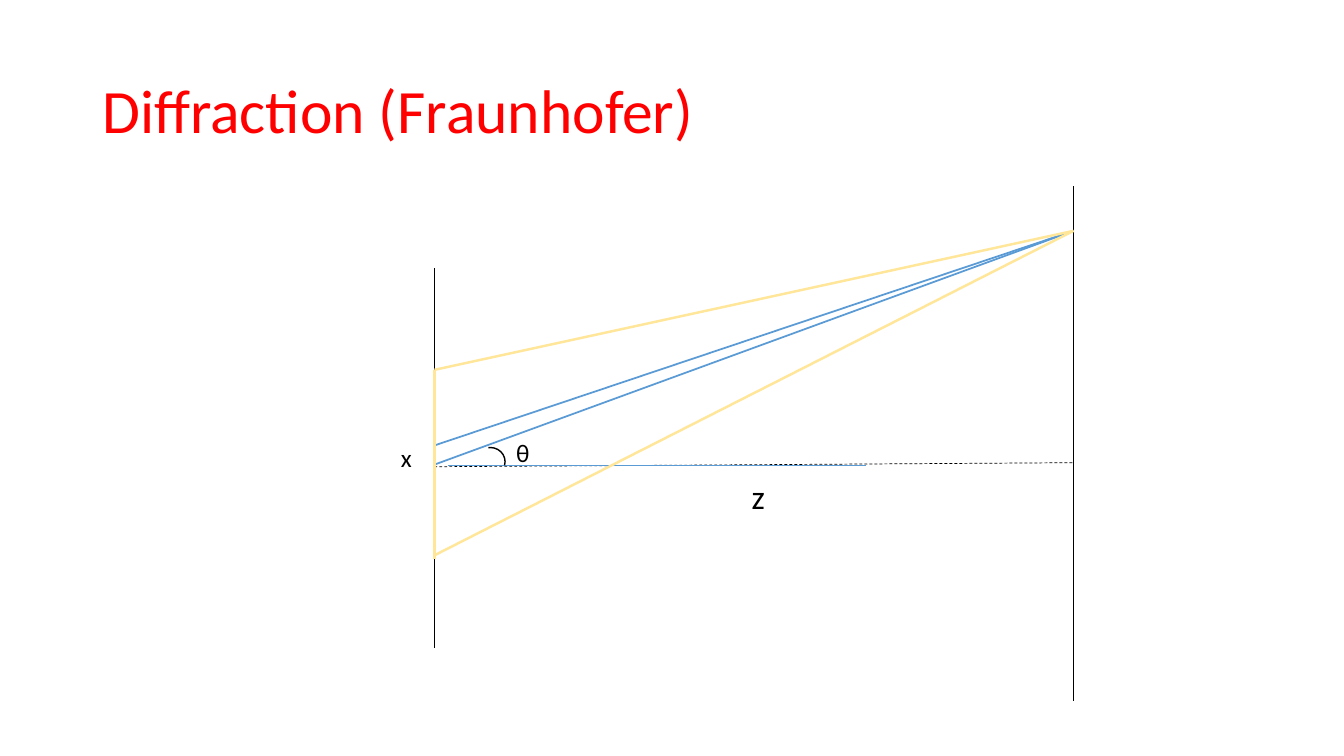
from lxml import etree
from pptx import Presentation
from pptx import util as u
from pptx.dml.color import RGBColor
from pptx.enum import dml, shapes, text
from pptx.oxml.ns import qn

BLACK = RGBColor(0x00, 0x00, 0x00)
RED = RGBColor(0xFF, 0x00, 0x00)
BLUE = RGBColor(0x5B, 0x9B, 0xD5)
YELLOW = RGBColor(0xFF, 0xE6, 0x99)
FONT = "Calibri"


def add_line(slide, start, end, colour, weight, dash=None):
    """Draw a straight line between two points, without a shadow."""
    line = slide.shapes.add_connector(
        shapes.MSO_CONNECTOR.STRAIGHT, *(u.Pt(v) for v in (*start, *end)))
    line.line.color.rgb = colour
    line.line.width = u.Pt(weight)
    if dash:
        line.line.dash_style = dash
    etree.SubElement(line._element.spPr, qn("a:effectLst"))


def add_label(slide, box, words, size, colour=BLACK):
    """Place one line of text in the box and return its text frame."""
    frame = slide.shapes.add_textbox(*(u.Pt(v) for v in box)).text_frame
    frame.word_wrap = True
    frame.text = words
    font = frame.paragraphs[0].runs[0].font
    font.name, font.size, font.color.rgb = FONT, u.Pt(size), colour
    return frame


def add_title(slide, box):
    """Write the slide heading, centred vertically in its box."""
    frame = add_label(slide, box, "Diffraction (Fraunhofer)", 44, RED)
    frame.vertical_anchor = text.MSO_ANCHOR.MIDDLE
    frame.paragraphs[0].line_spacing = 0.9


def add_diffraction(slide, box):
    """Draw the slit on the left edge, the screen on the right, and the rays."""
    left, top, width, height = box
    right = left + width
    slit_top, slit_bottom = top + 131, top + 266.4
    target = (right, top + 31.7)
    source = (left, top + 185)
    axis_start = (left, top + 200.2)

    add_line(slide, axis_start, (right, top + 197.3), BLACK, 0.5,
             dml.MSO_LINE.DASH)
    for start, end in (((left, slit_bottom), (left, top + 329.8)),
                       ((left, top + 58.3), (left, slit_top)),
                       ((right, top), (right, top + height))):
        add_line(slide, start, end, BLACK, 1.25)

    add_line(slide, axis_start, source, BLUE, 0.5)
    for start in (source, (left, top + 198.7)):
        add_line(slide, start, target, BLUE, 1.25)

    add_label(slide, (left + 219.6, top + 203, 88.6, 36), "z", 24)
    add_label(slide, (left - 31, top + 179.3, 62.6, 28.8), "x", 18)
    add_angle(slide, (left + 9.4, top + 175.7, 298.8, 31))

    for start, end in (((left, slit_top), target),
                       ((left, slit_top), (left, slit_bottom)),
                       (target, (left, top + 263.5))):
        add_line(slide, start, end, YELLOW, 1.75)


def add_angle(slide, box):
    """Mark the angle above the axis with an arc and its letter."""
    left, top, width, height = box
    add_label(slide, (left + 41.8, top, 82.8, 28.8), "θ", 18)
    add_line(slide, (left, top + 23.7), (left + width, top + 23.7), BLUE, 0.5)
    arc = slide.shapes.add_shape(
        shapes.MSO_SHAPE.ARC, u.Pt(left + 20.2), u.Pt(top + 10.8),
        u.Pt(20.9), u.Pt(20.2))
    arc.adjustments[0], arc.adjustments[1] = 156.99, 8.892
    arc.fill.background()
    arc.line.color.rgb = BLACK
    arc.line.width = u.Pt(1)
    arc.shadow.inherit = False


def main():
    """Build the slide and save it."""
    deck = Presentation()
    deck.slide_width, deck.slide_height = u.Pt(960), u.Pt(540)
    slide = deck.slides.add_slide(deck.slide_layouts[6])
    add_title(slide, (66, 28.8, 828, 104.4))
    add_diffraction(slide, (310.3, 133.2, 456.5, 367.2))
    deck.save("out.pptx")


if __name__ == "__main__":
    main()
